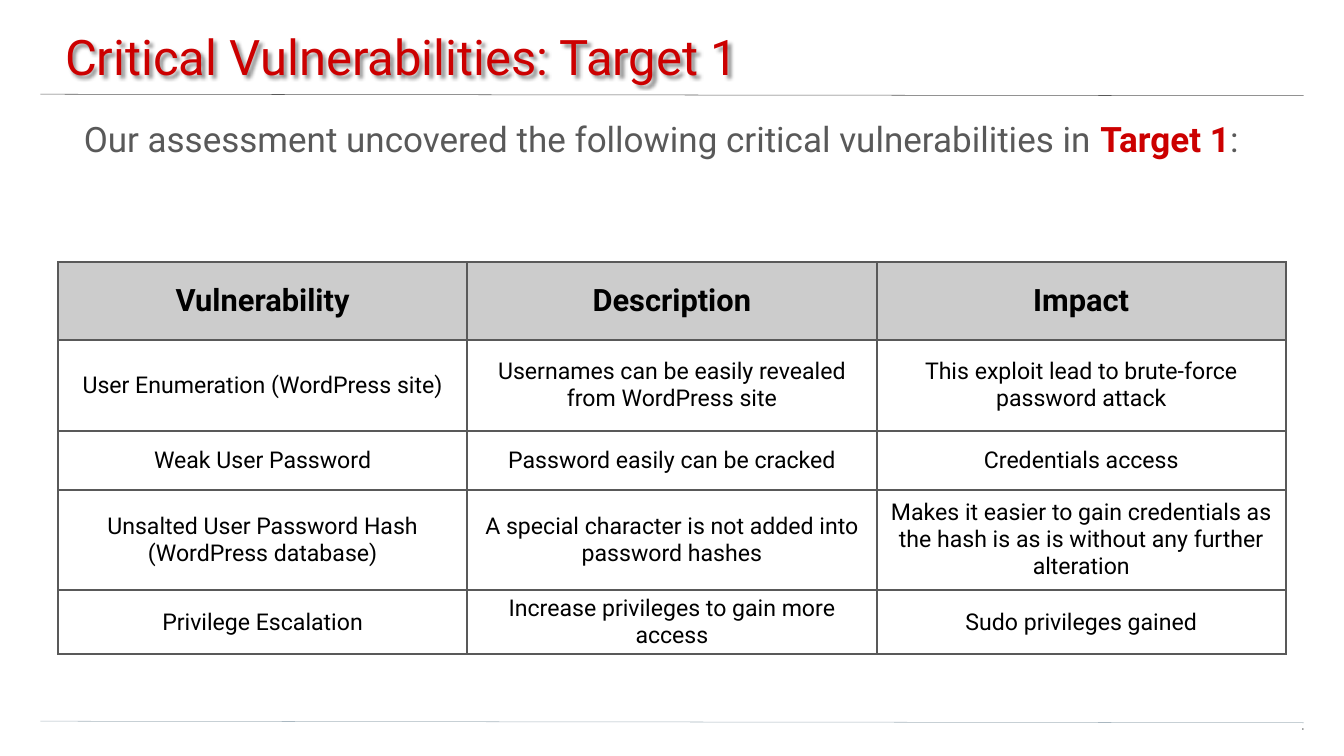
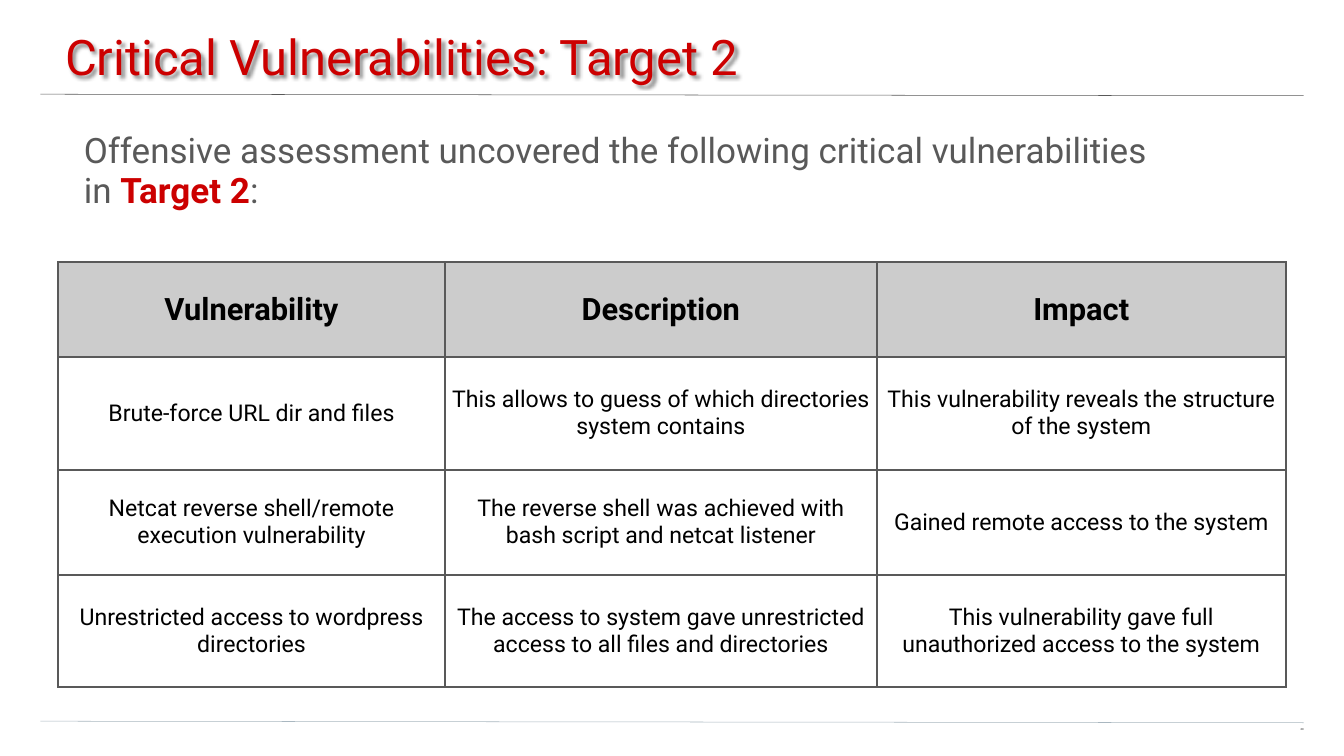
from dataclasses import dataclass

from lxml import etree
from pptx import Presentation
from pptx.dml.color import RGBColor
from pptx.enum.shapes import MSO_CONNECTOR
from pptx.enum.text import MSO_ANCHOR as Anchor
from pptx.enum.text import MSO_AUTO_SIZE as AutoSize
from pptx.enum.text import PP_ALIGN as Align
from pptx.oxml import parse_xml
from pptx.oxml.ns import nsdecls, qn
from pptx.util import Pt

RED = RGBColor(0xCC, 0x00, 0x00)
GREY = RGBColor(0x59, 0x59, 0x59)
BLUE_GREY = RGBColor(0xA9, 0xB7, 0xC0)
HEADER_GREY = RGBColor(0xCC, 0xCC, 0xCC)
BLACK = RGBColor(0, 0, 0)

ROBOTO = "Roboto"
HEADINGS = ("Vulnerability", "Description", "Impact")
TABLE_LEFT, TABLE_TOP = 82.8, 374.4
CELL_MARGIN = 7.2
BORDER_WIDTH = 3


@dataclass(frozen=True)
class Rule:
    """A thin, slightly slanted line across the slide."""
    top: float
    color: RGBColor


@dataclass(frozen=True)
class Assessment:
    target: str
    lead: str
    number: str
    lead_size: tuple[float, float]
    column_widths: tuple[float, ...]
    row_heights: tuple[float, ...]
    findings: tuple[tuple[str, str, str], ...]


RULES = (Rule(134.6, GREY), Rule(1030.3, BLUE_GREY))

ASSESSMENTS = (
    Assessment(
        "Target 1",
        "Our assessment uncovered the following critical vulnerabilities in ",
        "8",
        (1861.2, 112.3),
        (584.6, 584.6, 584.6),
        (110.9, 131, 83.5, 143.3, 83.5),
        (
            ("User Enumeration (WordPress site)",
             "Usernames can be easily revealed from WordPress site",
             "This exploit lead to brute-force password attack"),
            ("Weak User Password",
             "Password easily can be cracked",
             "Credentials access"),
            ("Unsalted User Password Hash (WordPress database)",
             "A special character is not added into password hashes",
             "Makes it easier to gain credentials as the hash is as is "
             "without any further alteration"),
            ("Privilege Escalation",
             "Increase privileges to gain more access",
             "Sudo privileges gained"),
        ),
    ),
    Assessment(
        "Target 2",
        "Offensive assessment uncovered the following critical vulnerabilities in ",
        "20",
        (1753.9, 144),
        (553, 616.3, 584.6),
        (136.1, 160.6, 150.5, 159.8),
        (
            ("Brute-force URL dir and files",
             "This allows to guess of which directories system contains",
             "This vulnerability reveals the structure of the system"),
            ("Netcat reverse shell/remote execution vulnerability",
             "The reverse shell was achieved with bash script and netcat listener",
             "Gained remote access to the system"),
            ("Unrestricted access to wordpress directories",
             "The access to system gave unrestricted access to all files and directories",
             "This vulnerability gave full unauthorized access to the system"),
        ),
    ),
)


def style_run(run, size: float, color: RGBColor, bold: bool = False,
              face: str = ROBOTO) -> None:
    font = run.font
    font.name, font.size, font.bold = face, Pt(size), bold
    font.color.rgb = color


def place(shape, left: float, top: float, width: float, height: float) -> None:
    shape.left, shape.top = Pt(left), Pt(top)
    shape.width, shape.height = Pt(width), Pt(height)


def set_frame(frame, left: float, top: float, right: float, bottom: float) -> None:
    """Set the insets of a top-anchored, wrapping frame of fixed size."""
    frame.margin_left, frame.margin_top = Pt(left), Pt(top)
    frame.margin_right, frame.margin_bottom = Pt(right), Pt(bottom)
    frame.word_wrap = True
    frame.auto_size = AutoSize.NONE
    frame.vertical_anchor = Anchor.TOP


def add_rules(slide) -> None:
    """Draw the rules and hand them to the layout, which all slides share."""
    for rule in RULES:
        line = slide.shapes.add_connector(
            MSO_CONNECTOR.STRAIGHT, Pt(57.6), Pt(rule.top), Pt(1861.9), Pt(rule.top + 2.2))
        line.line.color.rgb = rule.color
        line.line.width = Pt(0.75)
        etree.SubElement(line.element.spPr, qn("a:effectLst"))
        slide.slide_layout.shapes.element.append(line.element)


def add_title(slide, text: str) -> None:
    title = slide.shapes.title
    place(title, -2.9, 0, 1924.6, 112.3)
    title.element.spPr.append(parse_xml(
        f'<a:effectLst {nsdecls("a")}>'
        f'<a:outerShdw blurRad="{Pt(4)}" dist="{Pt(4)}" dir="2700000" algn="tl">'
        '<a:srgbClr val="000000"><a:alpha val="43000"/></a:srgbClr>'
        '</a:outerShdw></a:effectLst>'))
    frame = title.text_frame
    frame.text = text
    set_frame(frame, 95.8, 38.2, 57.6, 19.4)
    paragraph = frame.paragraphs[0]
    paragraph.alignment = Align.LEFT
    style_run(paragraph.runs[0], 70, RED)


def add_lead(slide, assessment: Assessment) -> None:
    body = slide.placeholders[1]
    place(body, 23.8, 211.7, *assessment.lead_size)
    set_frame(body.text_frame, 95.8, 0, 95.8, 192.2)
    paragraph = body.text_frame.paragraphs[0]
    paragraph.line_spacing = 0.95
    paragraph.space_before, paragraph.space_after = Pt(0), Pt(12)
    properties = paragraph._p.get_or_add_pPr()
    properties.set("marL", "0")
    properties.set("indent", "0")
    etree.SubElement(properties, qn("a:buNone"))
    for text, color, bold in ((assessment.lead, GREY, False),
                              (assessment.target, RED, True),
                              (":", GREY, False)):
        run = paragraph.add_run()
        run.text = text
        style_run(run, 50, color, bold)


def add_number(slide, number: str) -> None:
    box = slide.shapes.add_textbox(Pt(1807.2), Pt(1041.1), Pt(54.7), Pt(22.3))
    frame = box.text_frame
    frame.text = number
    set_frame(frame, 0, 0, 0, 19.4)
    paragraph = frame.paragraphs[0]
    paragraph.alignment = Align.RIGHT
    paragraph.line_spacing = 0.8
    style_run(paragraph.runs[0], 4, BLACK, face="Arial")


def add_borders(cell) -> None:
    properties = cell._tc.get_or_add_tcPr()
    for index, side in enumerate(("lnL", "lnR", "lnT", "lnB")):
        properties.insert(index, parse_xml(
            f'<a:{side} {nsdecls("a")} w="{Pt(BORDER_WIDTH)}"><a:solidFill>'
            f'<a:srgbClr val="{GREY}"/></a:solidFill></a:{side}>'))


def fill_cell(cell, text: str, is_heading: bool) -> None:
    cell.text = text
    cell.vertical_anchor = Anchor.MIDDLE
    cell.margin_left = cell.margin_right = Pt(CELL_MARGIN)
    cell.margin_top = cell.margin_bottom = Pt(CELL_MARGIN)
    if is_heading:
        cell.fill.solid()
        cell.fill.fore_color.rgb = HEADER_GREY
    else:
        cell.fill.background()
    add_borders(cell)
    paragraph = cell.text_frame.paragraphs[0]
    paragraph.alignment = Align.CENTER
    style_run(paragraph.runs[0], 44 if is_heading else 33, BLACK, is_heading)


def add_findings(slide, assessment: Assessment) -> None:
    widths, heights = assessment.column_widths, assessment.row_heights
    table = slide.shapes.add_table(
        len(heights), len(widths), Pt(TABLE_LEFT), Pt(TABLE_TOP),
        Pt(sum(widths)), Pt(sum(heights))).table
    table.first_row = table.horz_banding = False
    for column, width in zip(table.columns, widths):
        column.width = Pt(width)
    for row, height in zip(table.rows, heights):
        row.height = Pt(height)
    for row_index, texts in enumerate((HEADINGS, *assessment.findings)):
        for column_index, text in enumerate(texts):
            fill_cell(table.cell(row_index, column_index), text, row_index == 0)


def main() -> None:
    deck = Presentation()
    deck.slide_width, deck.slide_height = Pt(1919.5), Pt(1080)
    layout = deck.slide_layouts[1]
    for index, assessment in enumerate(ASSESSMENTS):
        slide = deck.slides.add_slide(layout)
        if index == 0:
            add_rules(slide)
        add_title(slide, f"Critical Vulnerabilities: {assessment.target}")
        add_number(slide, assessment.number)
        add_lead(slide, assessment)
        add_findings(slide, assessment)
    deck.save("out.pptx")


if __name__ == "__main__":
    main()
